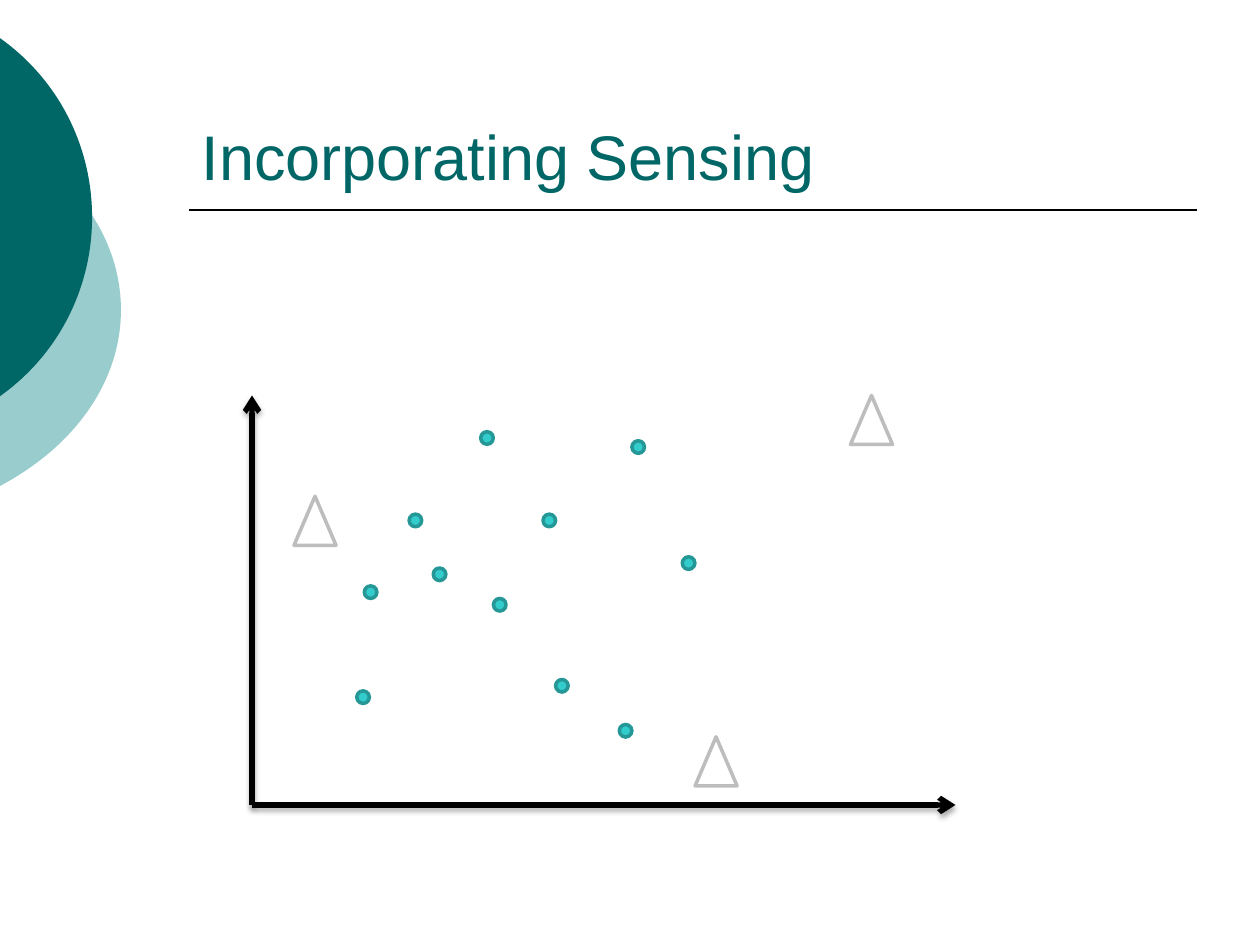
from lxml import etree
from pptx import Presentation
from pptx.dml.color import RGBColor
from pptx.enum.shapes import MSO_CONNECTOR, MSO_SHAPE
from pptx.enum.text import MSO_ANCHOR, PP_ALIGN
from pptx.oxml.ns import qn
from pptx.util import Pt

TEAL = RGBColor(0x00, 0x66, 0x66)
PALE_TEAL = RGBColor(0x99, 0xCC, 0xCC)
DOT_FILL = RGBColor(0x33, 0xCC, 0xCC)
DOT_LINE = RGBColor(0x26, 0x97, 0x97)
GRAY = RGBColor(0xBD, 0xBD, 0xBD)
BLACK = RGBColor(0x00, 0x00, 0x00)
WHITE = RGBColor(0xFF, 0xFF, 0xFF)

DOT_SIZE = 7.2
DOT_CENTERS = [
    (93.4, 71.4), (107.2, 102.2), (134.3, 24.3), (67.8, 112.4),
    (141.6, 119.6), (249.5, 95.8), (63.5, 172.4), (169.9, 71.4),
    (220.7, 29.5), (177.1, 165.9), (213.5, 191.6),
]
LANDMARK_W, LANDMARK_H = 24, 28
LANDMARKS = [(342, 0), (24, 57.6), (253.2, 195.1)]


def add_disc_edge(slide, x, y, w, h, arc_top, arc_bottom, color):
    """Draw the right part of a disc, cut off at the left edge of the slide."""
    builder = slide.shapes.build_freeform(Pt(x), Pt(y))
    builder.add_line_segments([(Pt(x + w), Pt(y)), (Pt(x + w), Pt(y + h))])
    sp = builder.convert_to_shape()
    path = sp._element.spPr.find(".//" + qn("a:path"))
    for step in list(path):
        path.remove(step)
    half = (arc_bottom - arc_top) / 2
    reach = x + w
    upper = [(0, arc_top), (0.63 * reach, arc_top + 0.23 * half),
             (reach, arc_top + 0.6 * half), (reach, arc_top + half)]
    lower = [(px, arc_top + arc_bottom - py) for px, py in reversed(upper[:-1])]
    for tag, points in (("moveTo", upper[:1]), ("cubicBezTo", upper[1:]),
                        ("cubicBezTo", lower), ("close", [])):
        step = etree.SubElement(path, qn("a:" + tag))
        for px, py in points:
            etree.SubElement(step, qn("a:pt"), x=str(Pt(px - x)), y=str(Pt(py - y)))
    sp.shadow.inherit = False
    sp.fill.solid()
    sp.fill.fore_color.rgb = color
    sp.line.fill.background()


def add_line(slide, x1, y1, x2, y2, width):
    """Draw a black straight line without a shadow and return it."""
    line = slide.shapes.add_connector(
        MSO_CONNECTOR.STRAIGHT, Pt(x1), Pt(y1), Pt(x2), Pt(y2))
    line.line.color.rgb = BLACK
    line.line.width = Pt(width)
    etree.SubElement(line._element.spPr, qn("a:effectLst"))
    return line


def add_axis(slide, x1, y1, x2, y2):
    """Draw an axis with an arrowhead and a soft shadow below it."""
    axis = add_line(slide, x1, y1, x2, y2, 3)
    etree.SubElement(axis.line._get_or_add_ln(), qn("a:tailEnd"), type="arrow")
    effects = axis._element.spPr.find(qn("a:effectLst"))
    shadow = etree.SubElement(
        effects, qn("a:outerShdw"), blurRad=str(Pt(3.1)), dist=str(Pt(1.8)),
        dir="5400000", rotWithShape="0")
    color = etree.SubElement(shadow, qn("a:srgbClr"), val=str(BLACK))
    etree.SubElement(color, qn("a:alpha"), val="35000")


def add_marker(slide, kind, x, y, w, h, fill, line):
    """Draw a small outlined marker."""
    sp = slide.shapes.add_shape(kind, Pt(x), Pt(y), Pt(w), Pt(h))
    sp.shadow.inherit = False
    sp.fill.solid()
    sp.fill.fore_color.rgb = fill
    sp.line.color.rgb = line
    sp.line.width = Pt(2)


def add_title(slide, x, y, w, h):
    """Place the title and the rule beneath it."""
    add_line(slide, x, y + h + 6.2, x + w, y + h + 6.2, 1)
    title = slide.shapes.title
    title.left, title.top, title.width, title.height = Pt(x), Pt(y), Pt(w), Pt(h)
    tf = title.text_frame
    tf.text = "Incorporating Sensing"
    tf.word_wrap = True
    tf.vertical_anchor = MSO_ANCHOR.BOTTOM
    p = tf.paragraphs[0]
    p.alignment = PP_ALIGN.LEFT
    font = p.runs[0].font
    font.name, font.size, font.color.rgb = "Arial", Pt(36), TEAL


def add_plot(slide, x, y, w, h):
    """Draw the axes, the sample dots and the landmark triangles."""
    add_axis(slide, x, y + h, x, y)
    add_axis(slide, x, y + h, x + w, y + h)
    for cx, cy in DOT_CENTERS:
        add_marker(slide, MSO_SHAPE.OVAL, x + cx - DOT_SIZE / 2, y + cy - DOT_SIZE / 2,
                   DOT_SIZE, DOT_SIZE, DOT_FILL, DOT_LINE)
    for dx, dy in LANDMARKS:
        add_marker(slide, MSO_SHAPE.ISOSCELES_TRIANGLE, x + dx, y + dy,
                   LANDMARK_W, LANDMARK_H, WHITE, GRAY)


def main():
    """Build the slide and save it."""
    prs = Presentation()
    prs.slide_width, prs.slide_height = Pt(720), Pt(540)
    slide = prs.slides.add_slide(prs.slide_layouts[5])
    add_disc_edge(slide, -254.9, 54, 324, 246.2, 76.5, 277.7, PALE_TEAL)
    add_disc_edge(slide, -190.8, 0, 243.4, 248.4, 21.8, 226.4, TEAL)
    add_title(slide, 108, 23.8, 576, 90)
    add_plot(slide, 144, 226, 402, 234)
    prs.save("out.pptx")


if __name__ == "__main__":
    main()
